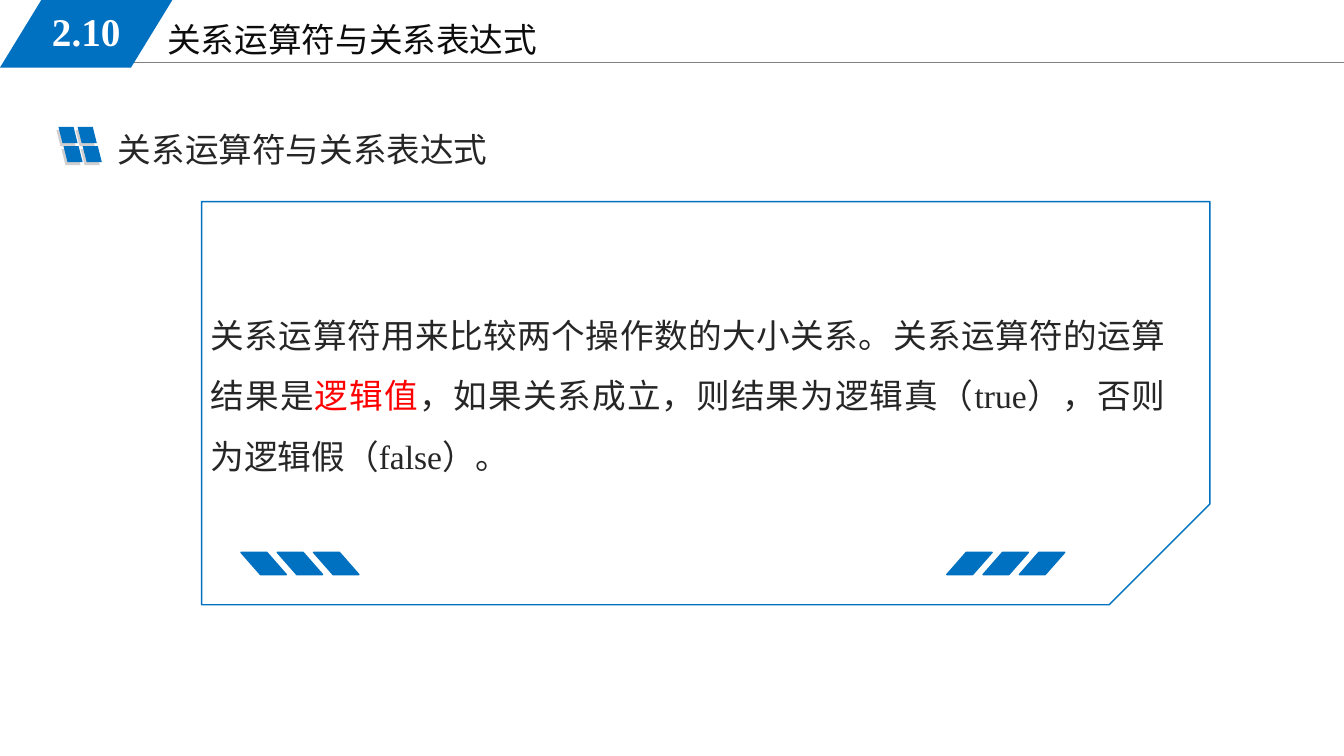
from dataclasses import dataclass
from itertools import product

from lxml.etree import SubElement
from pptx import Presentation
from pptx.dml.color import RGBColor
from pptx.enum.shapes import MSO_CONNECTOR as Link, MSO_SHAPE as Geo
from pptx.enum.text import MSO_ANCHOR as Anchor, MSO_AUTO_SIZE as Fit, PP_ALIGN as Align
from pptx.oxml.ns import qn
from pptx.util import Inches, Pt


@dataclass(frozen=True)
class Theme:
    blue: str = "0070C0"
    gray: str = "808080"
    shade: str = "D0CECE"
    dark: str = "0D0D0D"
    ink: str = "262626"
    red: str = "FF0000"
    white: str = "FFFFFF"
    latin: str = "Times New Roman"
    han: str = "Noto Sans CJK SC"
    text: int = 24
    badge: int = 28
    line: int = 32
    lead: float = 43.2


T = Theme()


def assign(item, form):
    for key, value in form.items():
        setattr(item, key, value)


def place(shape, box):
    assign(shape, dict(zip(("left", "top", "width", "height"), map(Inches, box))))


def write(shape, runs, size=T.text, bold=False, anchor=Anchor.TOP, **form):
    """Fill a text shape with one paragraph of (text, color, font) runs."""
    frame = shape.text_frame
    assign(frame, {"word_wrap": True, "auto_size": Fit.NONE, "vertical_anchor": anchor})
    para = frame.paragraphs[0]
    props = para._p.get_or_add_pPr()
    props.set("marL", "0")
    props.set("indent", "0")
    SubElement(props, qn("a:buNone"))
    assign(para, {"alignment": Align.LEFT, "space_before": Pt(0), **form})
    for text, color, face in runs:
        run = para.add_run()
        run.text = text
        assign(run.font, {"name": face, "size": Pt(size), "bold": bold})
        run.font.color.rgb = RGBColor.from_string(color)
        SubElement(run._r.get_or_add_rPr(), qn("a:ea"), typeface=T.han)


def slant(slide, box, color, ratio=0.25, flip=False, edge=False):
    """Draw one parallelogram."""
    shape = slide.shapes.add_shape(Geo.PARALLELOGRAM, *map(Inches, box))
    shape.shadow.inherit = False
    shape.adjustments[0] = ratio
    shape.fill.solid()
    shape.fill.fore_color.rgb = RGBColor.from_string(color)
    if edge:
        shape.line.color.rgb = RGBColor.from_string(color)
        shape.line.width = Pt(1)
    else:
        shape.line.fill.background()
    if flip:
        shape._element.spPr.xfrm.set("flipH", "1")


def header(slide, box, number, title):
    x, y, w, h = box
    # Rule under the title
    rule = slide.shapes.add_connector(
        Link.STRAIGHT, *map(Inches, (x + 1.13, y + 0.62, x + w, y + 0.62)))
    rule.line.color.rgb = RGBColor.from_string(T.gray)
    rule.line.width = Pt(0.75)
    SubElement(rule._element.spPr, qn("a:effectLst"))
    # Title
    head = slide.shapes.title
    place(head, (x + 1.56, y + 0.09, 5.67, 0.51))
    write(head, [(title, T.dark, T.latin)], line_spacing=Pt(T.line))
    # Section number
    slant(slide, (x, y, 1.71, h), T.blue, 0.612)
    badge = slide.shapes.add_textbox(*map(Inches, (x + 0.25, y + 0.02, 1.21, 0.58)))
    write(badge, [(number, T.white, T.latin)], T.badge, True, Anchor.MIDDLE,
          alignment=Align.CENTER)


def topic(slide, box, title):
    x, y, w, h = box
    # Window icon: shaded tiles behind blue ones
    for (color, dx, dy), row, col in product(
            ((T.shade, 0, 0.1), (T.blue, 0.02, 0.07)), range(2), range(2)):
        slant(slide, (x + dx + 0.19 * col + 0.05 * row, y + dy + 0.19 * row, 0.19, 0.16),
              color, flip=True)
    # Label
    label = slide.shapes.add_textbox(*map(Inches, (x + 0.51, y, w - 0.51, h)))
    write(label, [(title, T.ink, T.han)], line_spacing=Pt(T.line))


def panel(slide, box, runs):
    x, y, w, h = box
    base = h - 0.19
    # Outline, clockwise from the top left
    spots = [
        (0.73, 0), (8.55, 0), (8.65, 0.12), (9.57, 0.12), (9.68, 0), (w, 0),
        (w, 2.78), (9.33, base), (9.12, base), (8.89, h), (7.51, h), (7.28, base),
        (2.26, base), (2.03, h), (0.64, h), (0.41, base), (0, base),
        (0, 1.91), (0.17, 1.79), (0.17, 1.31), (0, 1.19), (0, 0.56),
    ]
    first, *rest = [(x + dx, y + dy) for dx, dy in spots]
    build = slide.shapes.build_freeform(*first, scale=Inches(1))
    build.add_line_segments(rest, close=True)
    frame = build.convert_to_shape()
    frame.shadow.inherit = False
    frame.fill.background()
    frame.line.color.rgb = RGBColor.from_string(T.blue)
    frame.line.width = Pt(1)
    # Stripes in both feet
    for (start, flip), step in product(((7.7, False), (0.7, True)), range(3)):
        slant(slide, (x + start + 0.36 * step, y + 3.27, 0.45, 0.22),
              T.blue, 0.878, flip, True)
    # Definition
    body = slide.placeholders[1]
    place(body, (x + 0.3, y + 0.66, 9.67, 1.92))
    write(body, runs, alignment=Align.JUSTIFY, line_spacing=Pt(T.lead))


def main():
    deck = Presentation()
    assign(deck, {"slide_width": Inches(13.33), "slide_height": Inches(7.5)})
    slide = deck.slides.add_slide(deck.slide_layouts[1])
    title = "关系运算符与关系表达式"
    header(slide, (0, 0, 13.33, 0.67), "2.10", title)
    topic(slide, (0.56, 1.19, 4.69, 0.5), title)
    panel(slide, (1.69, 2.21, 10.07, 3.53), [
        ("关系运算符用来比较两个操作数的大小关系。关系运算符的运算结果是", T.ink, T.han),
        ("逻辑值", T.red, T.han),
        ("，如果关系成立，则结果为逻辑真（", T.ink, T.han),
        ("true", T.ink, T.latin),
        ("），否则为逻辑假（", T.ink, T.han),
        ("false", T.ink, T.latin),
        ("）。", T.ink, T.han),
    ])
    deck.save("out.pptx")


if __name__ == "__main__":
    main()
